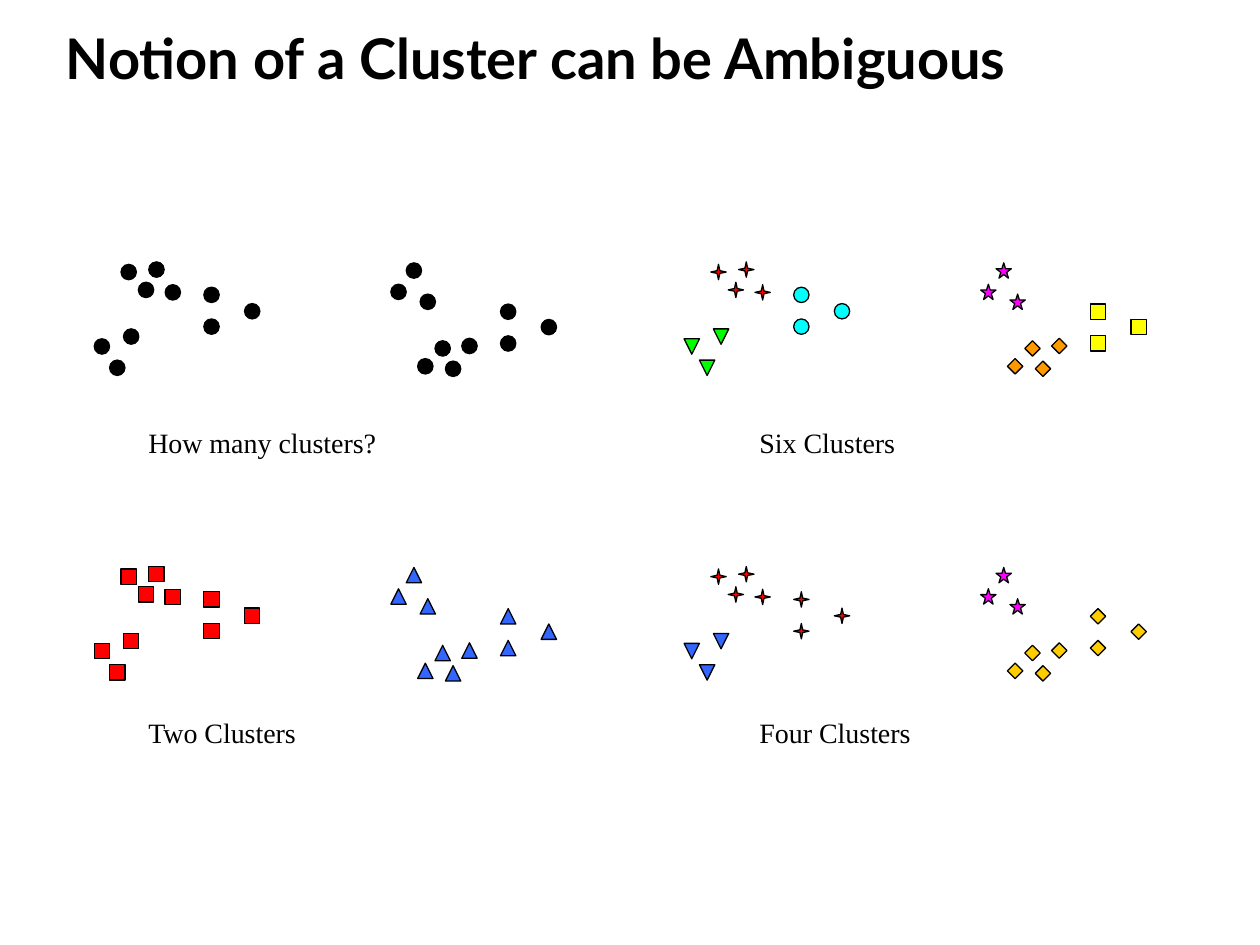
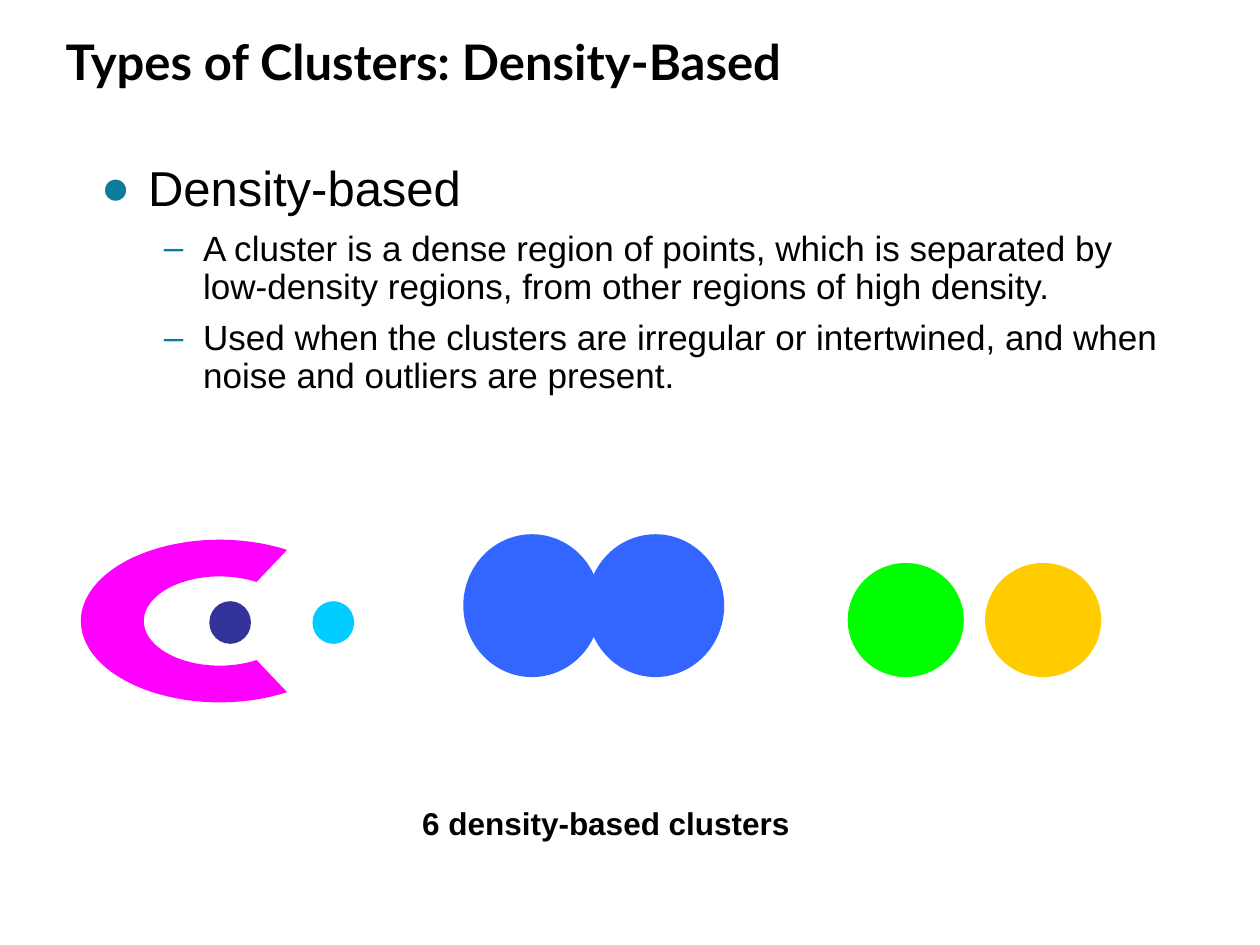
import math

from lxml import etree
from pptx import Presentation
from pptx import util as u
from pptx.dml.color import RGBColor
from pptx.enum import shapes, text
from pptx.oxml import ns

# Colours
BLACK = RGBColor(0x00, 0x00, 0x00)
RED = RGBColor(0xFF, 0x00, 0x00)
LIME = RGBColor(0x00, 0xFF, 0x00)
AQUA = RGBColor(0x00, 0xFF, 0xFF)
PINK = RGBColor(0xFF, 0x00, 0xFF)
YELLOW = RGBColor(0xFF, 0xFF, 0x00)
ORANGE = RGBColor(0xFF, 0x99, 0x00)
GOLD = RGBColor(0xFF, 0xCC, 0x00)
BLUE = RGBColor(0x33, 0x66, 0xFF)
NAVY = RGBColor(0x33, 0x33, 0x99)
SKY = RGBColor(0x00, 0xCC, 0xFF)
TEAL = RGBColor(0x0C, 0x7B, 0x9C)

# Marker kinds
KIND = shapes.MSO_SHAPE
DOT, BOX, RHOMB = KIND.OVAL, KIND.RECTANGLE, KIND.DIAMOND
SPARK, STAR, TRI = KIND.STAR_4_POINT, KIND.STAR_5_POINT, KIND.ISOSCELES_TRIANGLE

# Text formats
TITLE = {"name": "Lato", "bold": True}
LABEL = {"name": "Times New Roman", "size": u.Pt(16), "bold": False}
NOTE = {"name": "Arial", "size": u.Pt(18), "bold": True}
BODY = {"name": "Arial", "bold": False}

# Left half of a point set in cm; the right half is its mirror, shifted
DENSE = [(2.44, 5.33), (3.0, 5.28), (2.79, 5.69), (3.33, 5.74)]
TRIO = [(2.49, 6.63), (1.9, 6.83), (2.21, 7.26)]
FAR = [(4.11, 5.79), (4.93, 6.12), (4.11, 6.43)]
MARK = 0.31
SHIFT, FLIP = 5.98, 12.56
COL, ROW = 11.89, 6.14

# Caption, then the looks of dense, trio and far points: left half, right half
PANELS = [
    ("How many clusters?", [(DOT, BLACK)] * 3, [(DOT, BLACK)] * 3),
    ("Six Clusters",
     [(SPARK, RED), (TRI, LIME), (DOT, AQUA)],
     [(RHOMB, ORANGE), (STAR, PINK), (BOX, YELLOW)]),
    ("Two Clusters", [(BOX, RED)] * 3, [(TRI, BLUE)] * 3),
    ("Four Clusters",
     [(SPARK, RED), (TRI, BLUE), (SPARK, RED)],
     [(RHOMB, GOLD), (STAR, PINK), (RHOMB, GOLD)]),
]

POINTS = [
    (0, "Density-based"),
    (1, "A cluster is a dense region of points, which is separated by "
        "low-density regions, from other regions of high density."),
    (1, "Used when the clusters are irregular or intertwined, and when "
        "noise and outliers are present."),
]
# Per level: size, left margin, hanging indent, space before, bullet
LEVELS = [(28, 0.95, 0.95, 0, "●"), (20, 2.06, 0.79, 8, "–")]

# Round clusters: left, top, width, height in cm, colour
ROUNDS = [
    (4.22, 12.12, 0.84, 0.86, NAVY),
    (6.3, 12.12, 0.84, 0.86, SKY),
    (17.09, 11.35, 2.34, 2.3, LIME),
    (19.86, 11.35, 2.34, 2.3, GOLD),
    (9.34, 10.77, 2.77, 2.88, BLUE),
    (11.83, 10.77, 2.77, 2.88, BLUE),
]


def apply(item, vals):
    for key, val in vals.items():
        setattr(item, key, val)


def place(item, left, top, width, height):
    sides = zip(("left", "top", "width", "height"), (left, top, width, height))
    apply(item, {key: u.Cm(val) for key, val in sides})


def write(para, words, style):
    run = para.add_run()
    run.text = words
    apply(run.font, style)
    run.font.color.rgb = BLACK


def paint(item, fill, edge=None):
    item.shadow.inherit = False
    item.fill.solid()
    item.fill.fore_color.rgb = fill
    if edge is None:
        item.line.fill.background()
    else:
        item.line.color.rgb = edge
        item.line.width = u.Pt(0.75)


def head(slide, words, size, gap):
    box = slide.shapes.title
    place(box, 1.07, 0.43, 23.01, 1.52)
    apply(box.text_frame, {"auto_size": text.MSO_AUTO_SIZE.NONE,
                           "vertical_anchor": text.MSO_ANCHOR.BOTTOM})
    para = box.text_frame.paragraphs[0]
    apply(para, {"alignment": text.PP_ALIGN.LEFT, "line_spacing": gap})
    write(para, words, {**TITLE, "size": u.Pt(size)})


def label(slide, words, left, top, width, style):
    box = slide.shapes.add_textbox(u.Cm(left), u.Cm(top), u.Cm(width), u.Cm(0.94))
    box.text_frame.word_wrap = True
    write(box.text_frame.paragraphs[0], words, style)


def shape(slide, kind, left, top, width, height, fill, edge=None):
    item = slide.shapes.add_shape(
        kind, u.Cm(left), u.Cm(top), u.Cm(width), u.Cm(height))
    paint(item, fill, edge)
    return item


def bullet(para, mark, margin, hang):
    props = para._p.get_or_add_pPr()
    props.set("marL", str(u.Cm(margin)))
    props.set("indent", str(-u.Cm(hang)))
    tint = etree.SubElement(props, ns.qn("a:buClr"))
    etree.SubElement(tint, ns.qn("a:srgbClr"), val=str(TEAL))
    etree.SubElement(props, ns.qn("a:buFont"), typeface="Arial")
    etree.SubElement(props, ns.qn("a:buChar"), char=mark)


def outline(box, points):
    frame = box.text_frame
    frame.auto_size = text.MSO_AUTO_SIZE.NONE
    for num, (level, words) in enumerate(points):
        para = frame.add_paragraph() if num else frame.paragraphs[0]
        size, margin, hang, before, mark = LEVELS[level]
        apply(para, {"level": level, "line_spacing": 0.9,
                     "space_before": u.Pt(before)})
        bullet(para, mark, margin, hang)
        write(para, words, {**BODY, "size": u.Pt(size)})


def panel(slide, num, words, lefts, rights):
    row, col = divmod(num, 2)
    right, down = col * COL, row * ROW
    for group, (lkind, lfill), (rkind, rfill) in zip((DENSE, TRIO, FAR), lefts, rights):
        for x, y in group:
            mark = shape(slide, lkind, x + right, y + down, MARK, MARK, lfill, BLACK)
            if lkind == TRI:
                mark.rotation = 180
            shape(slide, rkind, x + SHIFT + right, FLIP - y + down,
                  MARK, MARK, rfill, BLACK)
    label(slide, words, 2.74 + col * 12.32, 8.46 + row * 5.84, 6.35, LABEL)


def arc(mid, radii, start, end, steps=60):
    (x, y), (wide, high) = mid, radii
    turns = [math.radians(start + (end - start) * i / steps) for i in range(steps + 1)]
    return [(u.Cm(x + wide * math.cos(t)), u.Cm(y + high * math.sin(t))) for t in turns]


def crescent(slide):
    mid = (4.43, 12.52)
    rim = arc(mid, (2.8, 1.64), 61, 299) + arc(mid, (1.53, 0.9), 299, 61)
    pen = slide.shapes.build_freeform(*rim[0])
    pen.add_line_segments(rim[1:], close=True)
    paint(pen.convert_to_shape(), PINK)


def main():
    deck = Presentation()
    apply(deck, {"slide_width": u.Cm(25.4), "slide_height": u.Cm(19.05)})

    # Ambiguous clusters
    slide = deck.slides.add_slide(deck.slide_layouts[5])
    head(slide, "Notion of a Cluster can be Ambiguous", 32, 1.12)
    for num, (words, lefts, rights) in enumerate(PANELS):
        panel(slide, num, words, lefts, rights)

    # Density-based clusters
    slide = deck.slides.add_slide(deck.slide_layouts[1])
    head(slide, "Types of Clusters: Density-Based", 28, 1.29)
    body = slide.placeholders[1]
    place(body, 1.78, 3.18, 22.23, 14.2)
    outline(body, POINTS)
    crescent(slide)
    for *spot, fill in ROUNDS:
        shape(slide, DOT, *spot, fill)
    label(slide, "6 density-based clusters", 8.26, 16.08, 8.89, NOTE)

    deck.save("out.pptx")


if __name__ == "__main__":
    main()
